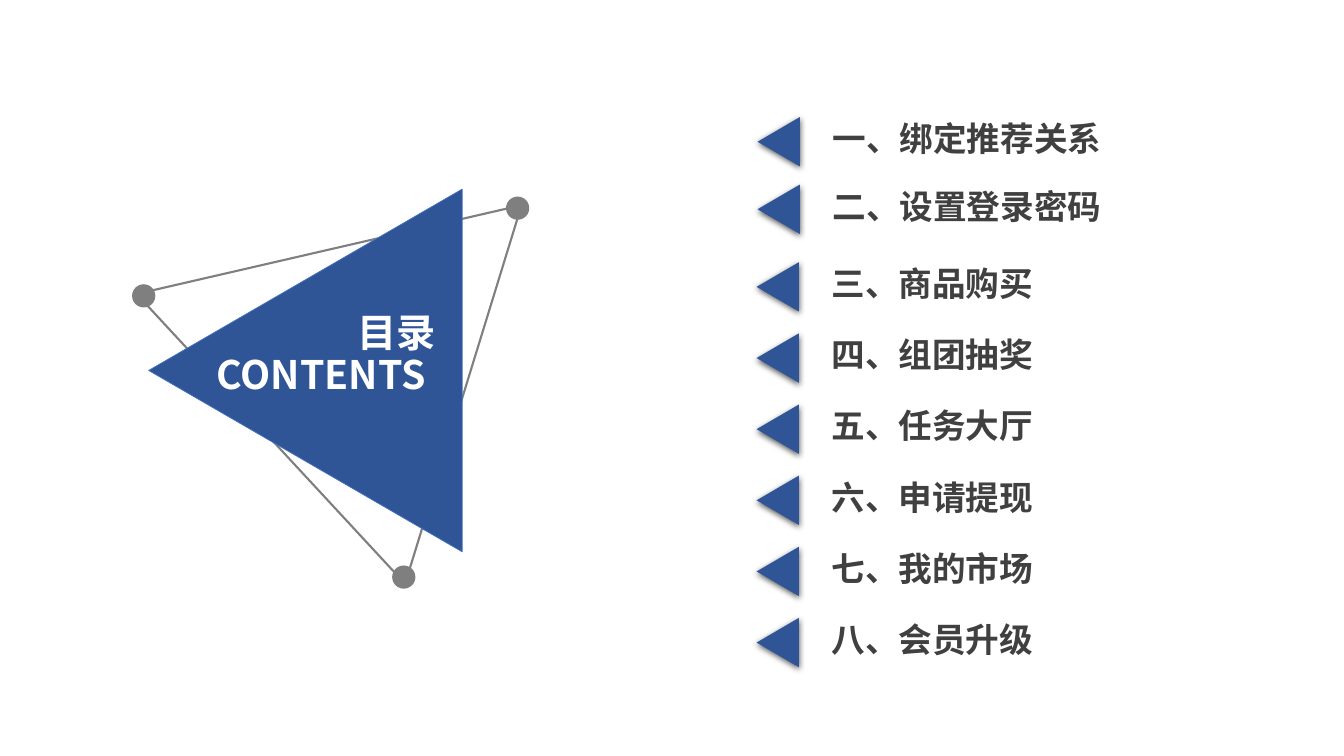
"""Contents slide: a triangle emblem beside eight numbered entries."""
import lxml.etree
import pptx
import pptx.dml.color
import pptx.enum.shapes
import pptx.enum.text
import pptx.oxml.ns
import pptx.util

COLORS = {"blue": "2F5597", "edge": "4472C4", "gray": "7F7F7F",
          "text": "404040", "white": "FFFFFF", "shadow": "000000"}
FONT = "Noto Sans CJK SC"
WIDTH, HEIGHT = pptx.util.Inches(13.33), pptx.util.Inches(7.5)
COL, ROW = WIDTH / 100, HEIGHT / 100
SHAPE = pptx.enum.shapes.MSO_SHAPE
ENTRIES = ["一、绑定推荐关系", "二、设置登录密码", "三、商品购买", "四、组团抽奖",
           "五、任务大厅", "六、申请提现", "七、我的市场", "八、会员升级"]


def rgb(name):
    return pptx.dml.color.RGBColor.from_string(COLORS[name])


def place(x, y, w, h):
    return round(x * COL), round(y * ROW), round(w * COL), round(h * ROW)


def add_shape(s, kind, box, fill=None, line=None, weight=0, rotation=0):
    sp = s.shapes.add_shape(kind, *place(*box))
    sp.rotation = rotation
    sp.shadow.inherit = False
    if fill:
        sp.fill.solid()
        sp.fill.fore_color.rgb = rgb(fill)
    else:
        sp.fill.background()
    if line:
        sp.line.color.rgb = rgb(line)
        sp.line.width = pptx.util.Pt(weight)
    else:
        sp.line.fill.background()
    return sp


def add_shadow(sp):
    qn = pptx.oxml.ns.qn
    effects = sp.element.spPr.find(qn("a:effectLst"))
    shadow = lxml.etree.SubElement(
        effects, qn("a:outerShdw"), blurRad=str(pptx.util.Pt(4.5)),
        dist=str(pptx.util.Pt(1.5)), dir="5400000", algn="t", rotWithShape="0")
    color = lxml.etree.SubElement(shadow, qn("a:srgbClr"), val=COLORS["shadow"])
    lxml.etree.SubElement(color, qn("a:alpha"), val="63000")


def add_text(s, text, box, size, color):
    tf = s.shapes.add_textbox(*place(*box)).text_frame
    tf.word_wrap = True
    tf.vertical_anchor = pptx.enum.text.MSO_ANCHOR.TOP
    tf.margin_top = tf.margin_bottom = 0
    r = tf.paragraphs[0].add_run()
    r.text = text
    r.font.size = pptx.util.Pt(size)
    r.font.bold = True
    r.font.name = FONT
    r.font.color.rgb = rgb(color)
    props = r.font._element
    lxml.etree.SubElement(props, pptx.oxml.ns.qn("a:ea"), typeface=FONT)


def add_emblem(s):
    add_shape(s, SHAPE.ISOSCELES_TRIANGLE, (7.58, 22.93, 29.48, 45.2),
              line="gray", weight=1.5, rotation=287.1)
    add_shape(s, SHAPE.ISOSCELES_TRIANGLE, (9.23, 28.27, 27, 41.47),
              fill="blue", line="edge", weight=0.5, rotation=270)
    for x, y in [(9.83, 37.6), (29.18, 74.8), (37.65, 26)]:
        add_shape(s, SHAPE.OVAL, (x, y, 1.73, 3.07), fill="gray")
    add_text(s, "CONTENTS", (15.38, 46.4, 18.98, 7.6), 28, "white")
    add_text(s, "目录", (25.88, 40.8, 7.58, 7.6), 28, "white")


def add_entry(s, text, x, y):
    arrow = add_shape(s, SHAPE.ISOSCELES_TRIANGLE, (x - 5.1, y + 0.35, 3.68, 5.6),
                      fill="blue", rotation=270)
    add_shadow(arrow)
    add_text(s, text, (x, y, 31.8, 6.67), 24, "text")


def main():
    prs = pptx.Presentation()
    prs.slide_width, prs.slide_height = WIDTH, HEIGHT
    s = prs.slides.add_slide(prs.slide_layouts[6])
    add_emblem(s)
    for i, text in enumerate(ENTRIES[:2]):
        add_entry(s, text, 61.2, 15.6 + 8.93 * i)
    for i, text in enumerate(ENTRIES[2:]):
        add_entry(s, text, 61.13, 34.8 + 9.41 * i)
    prs.save("out.pptx")


if __name__ == "__main__":
    main()
